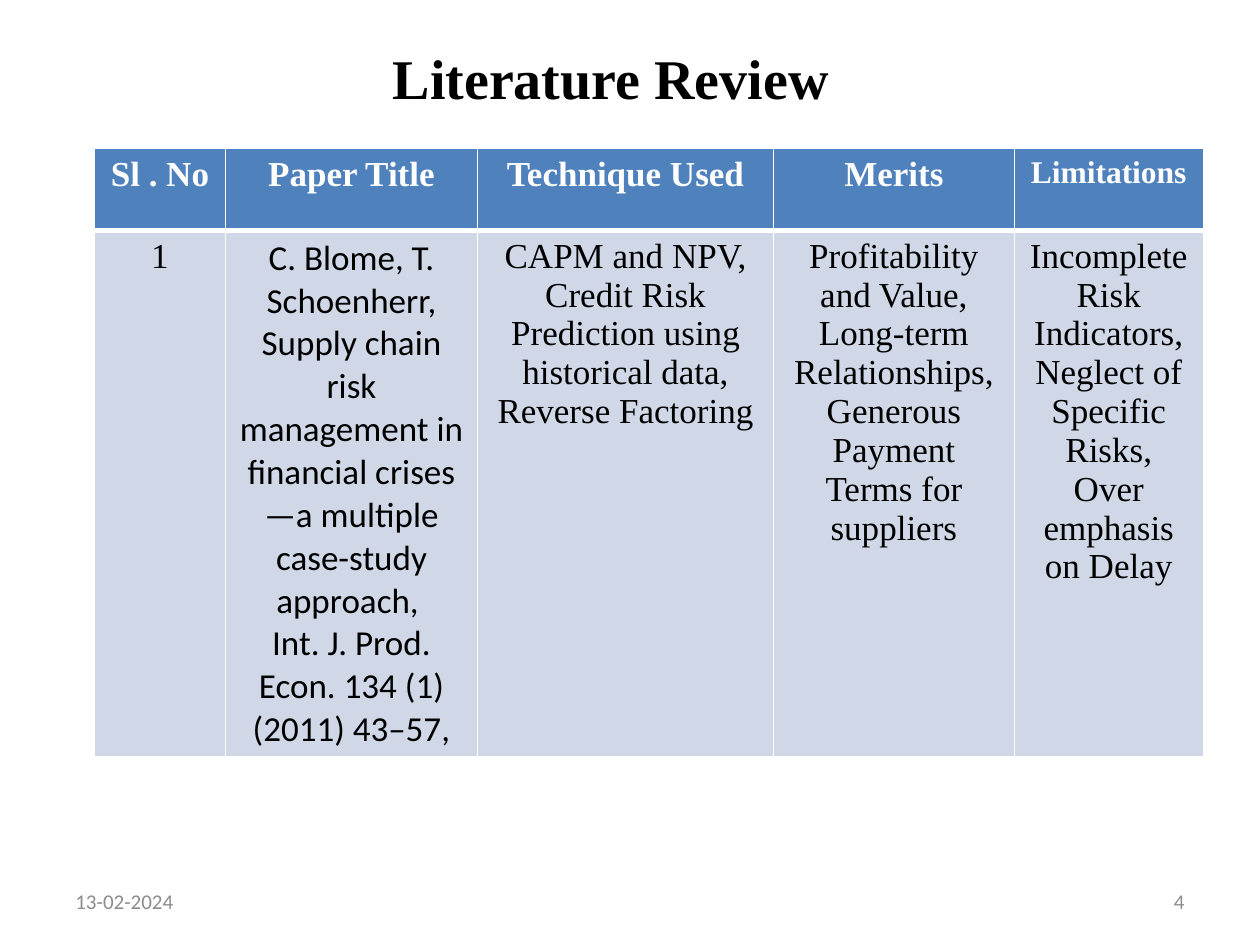
from lxml import etree
from pptx import Presentation
from pptx.dml.color import RGBColor
from pptx.enum.text import MSO_ANCHOR, PP_ALIGN
from pptx.oxml.ns import qn
from pptx.util import Inches, Pt

LEFT, MID, RIGHT = PP_ALIGN.LEFT, PP_ALIGN.CENTER, PP_ALIGN.RIGHT
MIDDLE = MSO_ANCHOR.MIDDLE

# Content
TITLE = "Literature Review"
DATE, PAGE = "13-02-2024", "4"
HEADS = ["Sl . No", "Paper Title", "Technique Used", "Merits", "Limitations"]
BODY = [
    ["1"],
    ["C. Blome, T. Schoenherr,",
     "Supply chain risk management in financial crises—a multiple "
     "case-study approach, ",
     "Int. J. Prod. Econ. 134 (1) (2011) 43–57,"],
    ["CAPM and NPV,", "Credit Risk", "Prediction using historical data,",
     "Reverse Factoring"],
    ["Profitability and Value,", "Long-term", "Relationships,",
     "Generous Payment Terms for suppliers"],
    ["Incomplete Risk Indicators,", "Neglect of Specific Risks,", "Over",
     "emphasis on Delay"],
]

# Theme and grid
THEME = {
    "serif": "Times New Roman", "sans": "Calibri",
    "black": "000000", "white": "FFFFFF", "grey": "8C8C8C",
    "head": "4F81BD", "body": "D0D8E8",
    "title": 32, "cell": 20, "small": 18, "foot": 12,
}
WIDE, HIGH = 10, 7.5
COLS = [1.04, 2, 2.35, 1.91, 1.5]
ROWS = [0.65, 4.18]
GRID_X, GRID_Y = 0.75, 1.18
FOOT_Y, FOOT_W, FOOT_H, EDGE = 6.95, 2.33, 0.4, 0.5


def write(frame, lines, size, face, color, align, bold=False):
    frame.word_wrap = True
    for i, line in enumerate(lines):
        para = frame.add_paragraph() if i else frame.paragraphs[0]
        para.text = line
        para.alignment = align
        font = para.font
        font.size, font.name, font.bold = Pt(size), THEME[face], bold
        font.color.rgb = RGBColor.from_string(THEME[color])


def label(slide, box, text, *style):
    frame = slide.shapes.add_textbox(*map(Inches, box)).text_frame
    frame.vertical_anchor = MIDDLE
    write(frame, [text], *style)


def rule(cell, widths):
    """Draw white borders; widths are points for left, right, top, bottom."""
    props = cell._tc.get_or_add_tcPr()
    for i, (side, width) in enumerate(zip("LRTB", widths)):
        line = etree.Element(qn(f"a:ln{side}"), w=str(Pt(width)))
        fill = etree.SubElement(line, qn("a:solidFill"))
        etree.SubElement(fill, qn("a:srgbClr"), val=THEME["white"])
        props.insert(i, line)


def paint(cell, tone, widths):
    cell.fill.solid()
    cell.fill.fore_color.rgb = RGBColor.from_string(THEME[tone])
    rule(cell, widths)


def main():
    deck = Presentation()
    deck.slide_width, deck.slide_height = Inches(WIDE), Inches(HIGH)
    slide = deck.slides.add_slide(deck.slide_layouts[6])

    # Title
    label(slide, (0.75, -0.01, 8.2, 1.25), TITLE,
          THEME["title"], "serif", "black", MID, True)

    # Review table
    box = (GRID_X, GRID_Y, sum(COLS), sum(ROWS))
    table = slide.shapes.add_table(
        len(ROWS), len(COLS), *map(Inches, box)).table
    for row, high in zip(table.rows, ROWS):
        row.height = Inches(high)
    for i, (wide, head, lines) in enumerate(zip(COLS, HEADS, BODY)):
        table.columns[i].width = Inches(wide)
        top, low = table.cell(0, i), table.cell(1, i)
        size = THEME["small" if head == "Limitations" else "cell"]
        face = "sans" if head == "Paper Title" else "serif"
        write(top.text_frame, [head], size, "serif", "white", MID, True)
        write(low.text_frame, lines, THEME["cell"], face, "black", MID)
        paint(top, "head", (1, 1, 1, 3))
        paint(low, "body", (1, 1, 3, 1))

    # Footer
    feet = [(EDGE, DATE, LEFT), (WIDE - EDGE - FOOT_W, PAGE, RIGHT)]
    for x, text, align in feet:
        label(slide, (x, FOOT_Y, FOOT_W, FOOT_H), text,
              THEME["foot"], "sans", "grey", align)

    deck.save("out.pptx")


if __name__ == "__main__":
    main()
